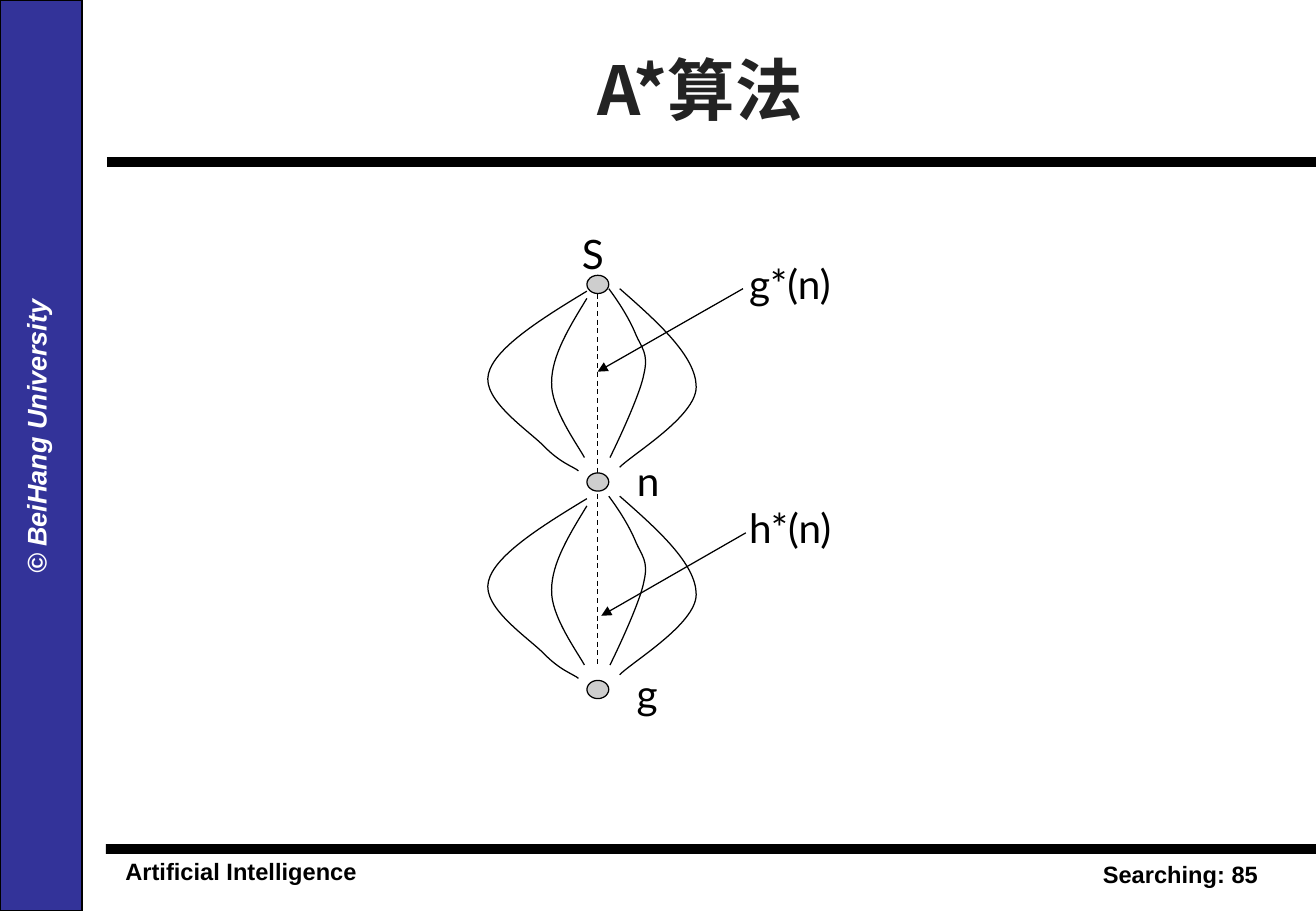
from lxml.etree import SubElement
from pptx import Presentation
from pptx.dml.color import RGBColor
from pptx.enum.dml import MSO_LINE_DASH_STYLE as Dash
from pptx.enum.shapes import MSO_CONNECTOR as Connector, MSO_SHAPE as Shape
from pptx.enum.text import MSO_ANCHOR as Anchor, MSO_AUTO_SIZE as AutoSize, PP_ALIGN as Align
from pptx.oxml.ns import qn
from pptx.util import Inches, Pt

COLUMNS, ROWS = 130, 90
CELL = Inches(1) / 12
BLACK, WHITE, NODE_GREY, BAND_BLUE, TITLE_GREY = "000000", "FFFFFF", "CECECE", "333399", "232323"
THIN = 0.75
AXIS = 59.06
START, MIDDLE, GOAL = 28.1, 47.62, 68.12
LOBE_TOPS = (START, 48.6)
NODE_WIDTH, NODE_HEIGHT = 2.16, 1.8

LABEL = {"name": "Lato", "size": Pt(24)}
FOOTER = {"name": "Arial", "size": Pt(14), "bold": True}
SIDE = {"name": "Arial", "size": Pt(16), "bold": True, "italic": True}
HEADING = {"name": "Noto Sans CJK SC", "size": Pt(40), "bold": True}

LOBE_CURVES = (
    ((-1.08, 0.66), (-5.64, 3.42), (-10.2, 6.3), (-10.8, 8.82), (-11.52, 11.46),
     (-6.6, 14.58), (-5.16, 16.14), (-3.6, 17.7), (-2.28, 18.06), (-1.92, 18.42)),
    ((-1.08, 1.38), (-2.76, 4.14), (-4.56, 7.02), (-4.56, 9.66),
     (-4.68, 12.18), (-2.04, 15.78), (-1.32, 17.1)),
    ((1.08, 0.42), (2.16, 1.86), (3.12, 3.42), (3.72, 4.86), (4.32, 6.3),
     (5.04, 6.78), (4.56, 8.82), (4.2, 10.86), (1.8, 15.9), (1.2, 17.1)),
    ((2.16, 0.42), (6, 3.78), (9.72, 7.14), (9.72, 10.14),
     (9.72, 13.02), (3.48, 16.74), (2.16, 18.06)),
)
LABELS = (
    ("S", 56.3, 22, 6.7),
    ("n", 61.75, 44.5, 6.7),
    ("g", 61.7, 65.5, 11.8),
    ("g*(n)", 72.82, 25, 12.25),
    ("h*(n)", 72.82, 49.1, 12.25),
)
POINTERS = (
    ((73.4, 28.52), (59.04, 36.72)),
    ((73.68, 52.64), (59.4, 60.84)),
)


def cells(*counts):
    return [round(count * CELL) for count in counts]


def paint(color_format, color):
    color_format.rgb = RGBColor.from_string(color)


def set_line(line, width, color=BLACK):
    line.width = Pt(width)
    line.fill.solid()
    paint(line.color, color)


def format_text(frame, text, style, color, align=Align.LEFT):
    frame.text = text
    paragraph = frame.paragraphs[0]
    paragraph.alignment = align
    font = paragraph.runs[0].font
    for attribute, value in style.items():
        setattr(font, attribute, value)
    paint(font.color, color)
    return font


def add_text(slide, text, area, style, color=BLACK, align=Align.LEFT, wrap=True):
    box = slide.shapes.add_textbox(*cells(*area))
    box.text_frame.word_wrap = wrap
    format_text(box.text_frame, text, style, color, align)
    return box


def add_block(slide, kind, area, color, outline=None):
    block = slide.shapes.add_shape(kind, *cells(*area))
    block.shadow.inherit = False
    block.fill.solid()
    paint(block.fill.fore_color, color)
    if outline:
        set_line(block.line, outline)
    else:
        block.line.fill.background()


def add_line(slide, begin, end, width, dash=None, arrow=False):
    connector = slide.shapes.add_connector(Connector.STRAIGHT, *cells(*begin, *end))
    set_line(connector.line, width)
    if dash:
        connector.line.dash_style = dash
    properties = connector._element.spPr
    if arrow:
        SubElement(properties.find(qn("a:ln")), qn("a:tailEnd"), type="triangle")
    SubElement(properties, qn("a:effectLst"))


def bend(curve):
    outline = next(curve._element.iter(qn("a:path")))
    segments = outline.findall(qn("a:lnTo"))
    for first in range(0, len(segments), 3):
        arc = SubElement(outline, qn("a:cubicBezTo"))
        for segment in segments[first:first + 3]:
            arc.append(segment[0])
            outline.remove(segment)


def add_curve(slide, controls, top):
    begin, *others = [cells(AXIS + x, top + y) for x, y in controls]
    builder = slide.shapes.build_freeform(*begin)
    builder.add_line_segments(others, close=False)
    curve = builder.convert_to_shape()
    bend(curve)
    curve.shadow.inherit = False
    curve.fill.background()
    set_line(curve.line, THIN)


def add_title(slide, text):
    title = slide.shapes.title
    title.left, title.top, title.width, title.height = cells(11.12, 2.56, 116.04, 12.36)
    frame = title.text_frame
    frame.vertical_anchor = Anchor.MIDDLE
    frame.auto_size = AutoSize.NONE
    font = format_text(frame, text, HEADING, TITLE_GREY, Align.CENTER)
    SubElement(font._element, qn("a:ea"), typeface=HEADING["name"])


def add_frame(slide):
    add_text(slide, "Artificial Intelligence", (11.2, 84.06, 25.32, 3.96), FOOTER, wrap=False)
    add_text(slide, "Searching: 85", (86.82, 84.36, 38.64, 3.96), FOOTER, align=Align.RIGHT)
    add_block(slide, Shape.RECTANGLE, (10.46, 83.4, COLUMNS - 10.46, 0.96), BLACK)
    add_block(slide, Shape.RECTANGLE, (0, 0, 8.1, ROWS), BAND_BLUE, 1)
    add_line(slide, (10.56, 16), (COLUMNS, 16), 6)
    owner = add_text(slide, "© BeiHang University", (-39.52, 40.92, 86.16, 4.44),
                     SIDE, WHITE, Align.CENTER)
    owner.rotation = 270


def add_search_graph(slide):
    add_line(slide, (AXIS, 29), (AXIS, 65.76), THIN, Dash.DASH)
    for top in LOBE_TOPS:
        for controls in LOBE_CURVES:
            add_curve(slide, controls, top)
    for center in (START, MIDDLE, GOAL):
        area = (AXIS - NODE_WIDTH / 2, center - NODE_HEIGHT / 2, NODE_WIDTH, NODE_HEIGHT)
        add_block(slide, Shape.OVAL, area, NODE_GREY, THIN)
    for begin, end in POINTERS:
        add_line(slide, begin, end, THIN, arrow=True)
    for text, left, top, width in LABELS:
        add_text(slide, text, (left, top, width, 6), LABEL)


def main():
    deck = Presentation()
    deck.slide_width, deck.slide_height = cells(COLUMNS, ROWS)
    slide = deck.slides.add_slide(deck.slide_layouts[5])
    add_frame(slide)
    add_search_graph(slide)
    add_title(slide, "A*算法")
    deck.save("out.pptx")


if __name__ == "__main__":
    main()
